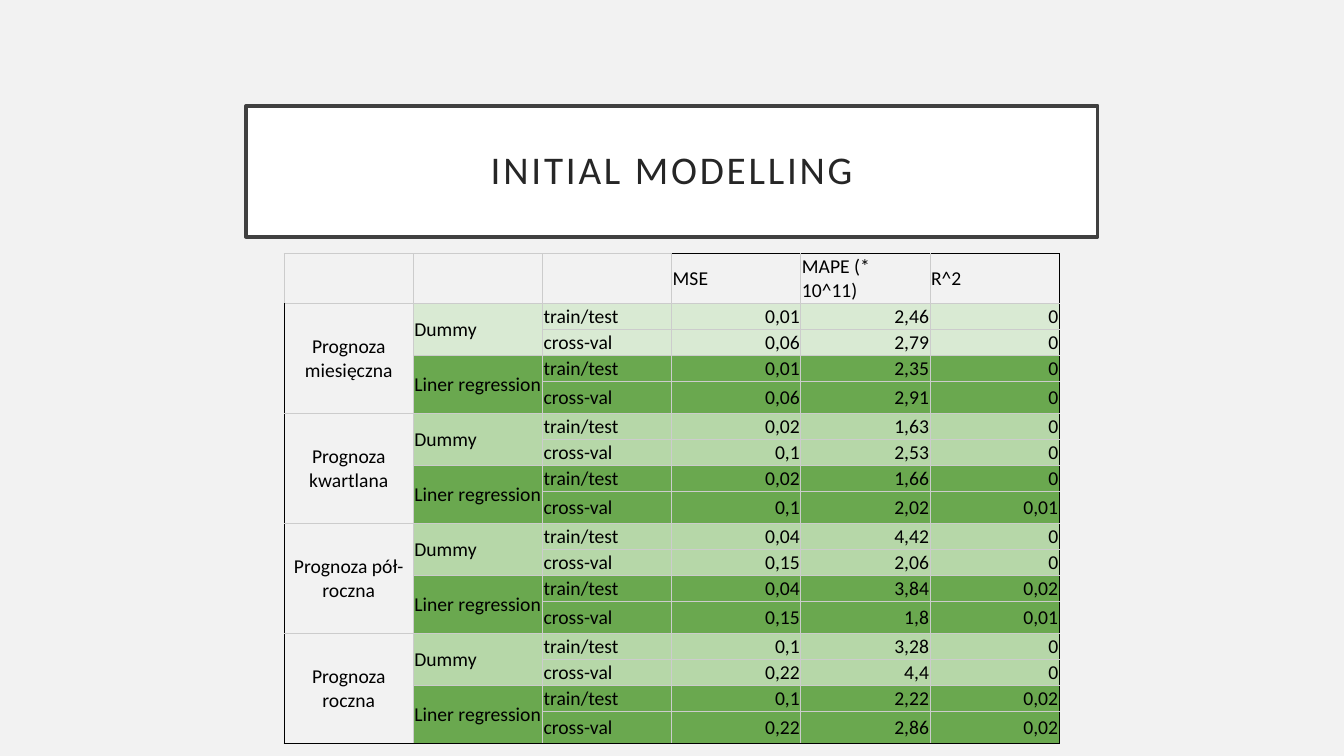
from dataclasses import dataclass

from lxml import etree
from pptx import Presentation
from pptx.dml.color import RGBColor
from pptx.enum.text import MSO_ANCHOR, MSO_AUTO_SIZE, PP_ALIGN
from pptx.oxml.ns import qn
from pptx.util import Pt

MIDDLE = MSO_ANCHOR.MIDDLE
NO_AUTOFIT = MSO_AUTO_SIZE.NONE
LEFT, CENTER, RIGHT = PP_ALIGN.LEFT, PP_ALIGN.CENTER, PP_ALIGN.RIGHT


@dataclass(frozen=True)
class Theme:
    font: str = "Calibri"
    title_size: float = 28
    table_size: float = 14
    background: str = "F2F2F2"
    title_fill: str = "FFFFFF"
    title_line: str = "404040"
    title_text: str = "262626"
    table_text: str = "000000"
    grid: str = "CCCCCC"
    frame: str = "000000"
    first_dummy: str = "D9EAD3"
    dummy: str = "B6D7A8"
    regression: str = "6AA84F"


THEME = Theme()
HEADERS = ["", "", "", "MSE", "MAPE (* 10^11)", "R^2"]
MODELS = ["Dummy", "Liner regression"]
CHECKS = ["train/test", "cross-val"]
FORECASTS = {
    "Prognoza miesięczna": [
        ("0,01", "2,46", "0"), ("0,06", "2,79", "0"),
        ("0,01", "2,35", "0"), ("0,06", "2,91", "0"),
    ],
    "Prognoza kwartlana": [
        ("0,02", "1,63", "0"), ("0,1", "2,53", "0"),
        ("0,02", "1,66", "0"), ("0,1", "2,02", "0,01"),
    ],
    "Prognoza pół-roczna": [
        ("0,04", "4,42", "0"), ("0,15", "2,06", "0"),
        ("0,04", "3,84", "0,02"), ("0,15", "1,8", "0,01"),
    ],
    "Prognoza roczna": [
        ("0,1", "3,28", "0"), ("0,22", "4,4", "0"),
        ("0,1", "2,22", "0,02"), ("0,22", "2,86", "0,02"),
    ],
}
HEADER_HEIGHT = 24.5
ROW_HEIGHTS = [13, 13, 13, 23]
COLUMN_WIDTH = 92.28


def rgb(value):
    return RGBColor.from_string(value)


def set_all(target, values):
    for name, value in values.items():
        setattr(target, name, value)


def write(para, text, size, color, align):
    para.alignment = align
    span = para.add_run()
    span.text = text
    set_all(span.font, {"name": THEME.font, "size": Pt(size), "bold": False})
    span.font.color.rgb = rgb(color)
    return span


def add_title(page, text):
    box = page.shapes.title
    set_all(box, {"left": Pt(175.7), "top": Pt(75.6), "width": Pt(608.4), "height": Pt(93.6)})
    box.fill.solid()
    box.fill.fore_color.rgb = rgb(THEME.title_fill)
    box.line.color.rgb = rgb(THEME.title_line)
    box.line.width = Pt(2.5)
    margins = dict.fromkeys(["margin_left", "margin_top", "margin_right", "margin_bottom"], Pt(14.4))
    set_all(box.text_frame, {"word_wrap": True, "auto_size": NO_AUTOFIT, "vertical_anchor": MIDDLE, **margins})
    para = box.text_frame.paragraphs[0]
    para.line_spacing = 0.9
    span = write(para, text, THEME.title_size, THEME.title_text, CENTER)
    span.font._element.set("spc", "200")


def set_borders(cell, colors):
    properties = cell._tc.get_or_add_tcPr()
    for position, (side, color) in enumerate(colors.items()):
        line = etree.Element(qn(f"a:ln{side}"), w=str(Pt(0.75)))
        fill = etree.SubElement(line, qn("a:solidFill"))
        etree.SubElement(fill, qn("a:srgbClr"), val=color)
        properties.insert(position, line)


def format_cell(cell, text, fill, align, borders):
    margins = dict.fromkeys(["margin_left", "margin_top", "margin_right", "margin_bottom"], Pt(0.75))
    set_all(cell, {"vertical_anchor": MIDDLE, **margins})
    if fill:
        cell.fill.solid()
        cell.fill.fore_color.rgb = rgb(fill)
    else:
        cell.fill.background()
    write(cell.text_frame.paragraphs[0], text, THEME.table_size, THEME.table_text, align)
    set_borders(cell, borders)


def table_rows():
    rows = [HEADERS]
    for forecast, scores in FORECASTS.items():
        for index, values in enumerate(scores):
            model, check = divmod(index, len(CHECKS))
            rows.append([
                forecast if index == 0 else "",
                MODELS[model] if check == 0 else "",
                CHECKS[check],
                *values,
            ])
    return rows


def cell_fill(row, column):
    if row == 0 or column == 0:
        return None
    group, index = divmod(row - 1, len(ROW_HEIGHTS))
    if index >= len(CHECKS):
        return THEME.regression
    return THEME.dummy if group else THEME.first_dummy


def cell_align(row, column):
    if row == 0:
        return LEFT
    return CENTER if column == 0 else RIGHT if column > 2 else LEFT


def cell_borders(row, column, end_row, row_count):
    framed = {
        "L": column == 0 and row > 0,
        "R": column == len(HEADERS) - 1,
        "T": row == 0 and column > 2,
        "B": end_row == row_count,
    }
    return {side: THEME.frame if dark else THEME.grid for side, dark in framed.items()}


def add_results_table(page):
    rows = table_rows()
    holder = page.shapes.add_table(
        len(rows), len(HEADERS), Pt(203), Pt(181.2), Pt(COLUMN_WIDTH * len(HEADERS)), Pt(345.6)
    )
    table = holder.table
    set_all(table, {"first_row": False, "horz_banding": False})
    for column in table.columns:
        column.width = Pt(COLUMN_WIDTH)
    heights = [HEADER_HEIGHT] + ROW_HEIGHTS * len(FORECASTS)
    for row, height in zip(table.rows, heights):
        row.height = Pt(height)
    holder.height = Pt(345.6)
    for column, step in enumerate([len(ROW_HEIGHTS), len(CHECKS)]):
        for start in range(1, len(rows), step):
            table.cell(start, column).merge(table.cell(start + step - 1, column))
    for row, texts in enumerate(rows):
        for column, text in enumerate(texts):
            cell = table.cell(row, column)
            borders = cell_borders(row, column, row + cell.span_height, len(rows))
            format_cell(cell, text, cell_fill(row, column), cell_align(row, column), borders)


def main():
    deck = Presentation()
    set_all(deck, {"slide_width": Pt(960), "slide_height": Pt(540)})
    page = deck.slides.add_slide(deck.slide_layouts.get_by_name("Title Only"))
    page.background.fill.solid()
    page.background.fill.fore_color.rgb = rgb(THEME.background)
    add_title(page, "INITIAL MODELLING")
    add_results_table(page)
    deck.save("out.pptx")


if __name__ == "__main__":
    main()
